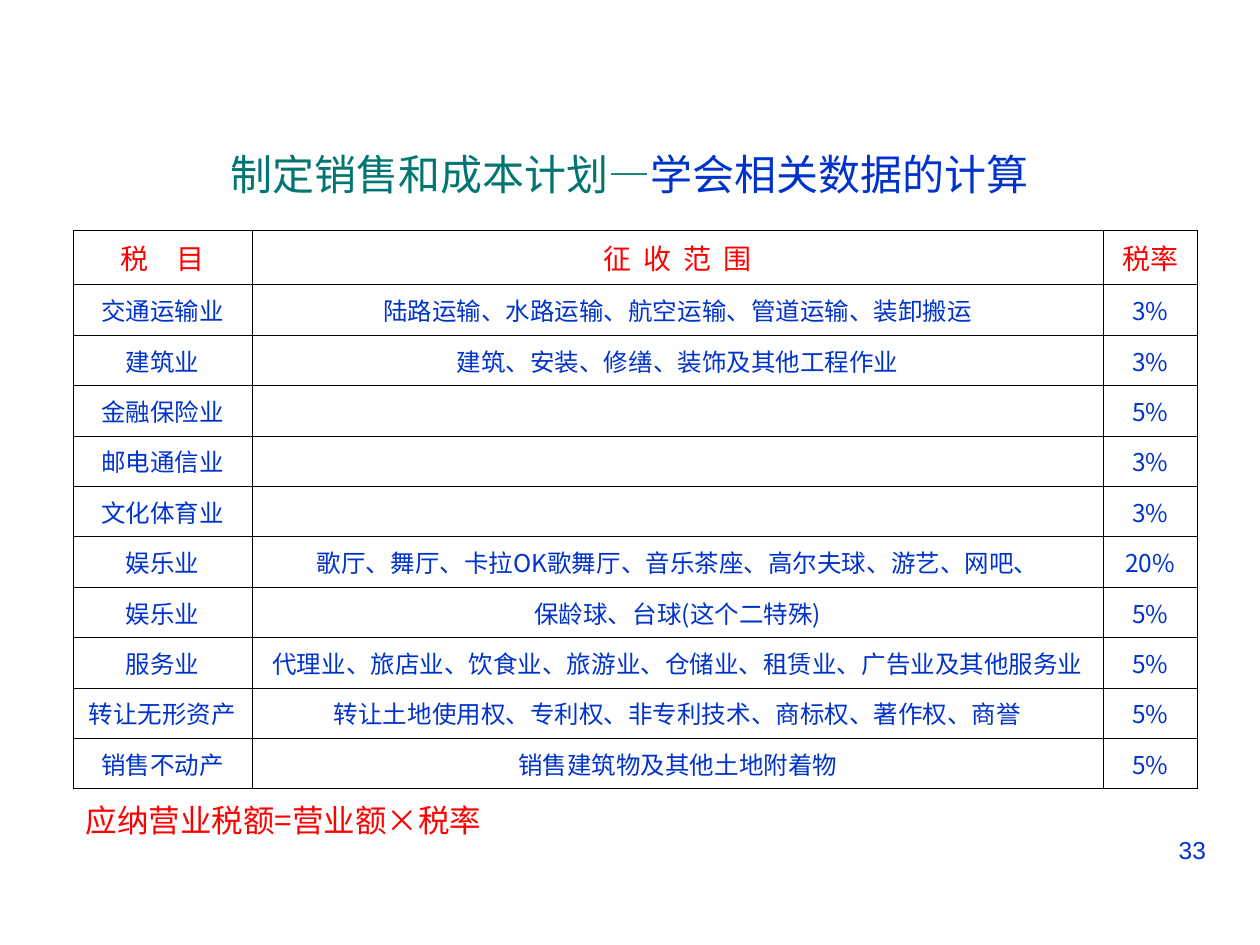
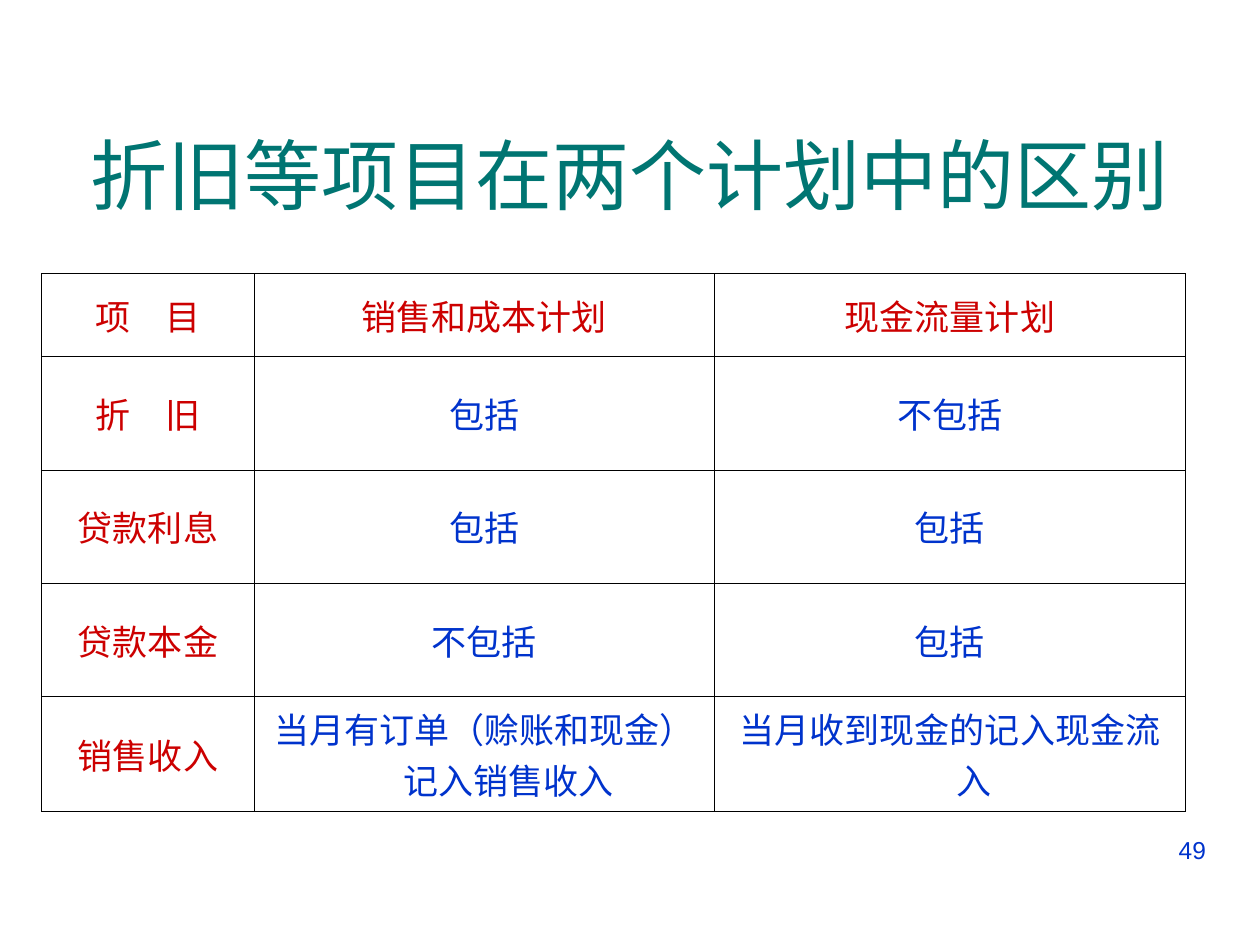
from lxml import etree
from pptx import Presentation
from pptx.dml.color import RGBColor
from pptx.enum.text import MSO_ANCHOR, MSO_AUTO_SIZE, PP_ALIGN
from pptx.oxml.ns import qn
from pptx.util import Inches, Pt

CENTER, LEFT, RIGHT = PP_ALIGN.CENTER, PP_ALIGN.LEFT, PP_ALIGN.RIGHT
MIDDLE = MSO_ANCHOR.MIDDLE
NO_FIT = MSO_AUTO_SIZE.NONE
TITLE_ONLY = 5

THEME = {
    "teal": "007572", "blue": "0033CC", "red": "FF0000", "dark_red": "CC0000",
    "border": "000000", "border_width": 0.45,
    "latin": "Arial", "chinese": "Noto Sans CJK SC",
    "number_size": 14, "hanging": 0.38,
}
NUMBER_AREA = (7.17, 6.58, 2.5, 0.52)

# Content
TAX_RATES = {
    "title": [("制定销售和成本计划—", "teal"), ("学会相关数据的计算", "blue")],
    "title_size": 24,
    "title_area": (0.58, 1, 8.83, 0.75),
    "table_at": (0.58, 1.83),
    "columns": [1.42, 6.76, 0.74],
    "heights": [0.43] + [0.4] * 10 + [0.48],
    "head_size": 16, "body_size": 14,
    "head_color": "red", "label_color": "blue",
    "head_spacing": {1: 1.7},
    "rows": [
        ("税　目", "征 收 范 围", "税率"),
        ("交通运输业", "陆路运输、水路运输、航空运输、管道运输、装卸搬运", "3%"),
        ("建筑业", "建筑、安装、修缮、装饰及其他工程作业", "3%"),
        ("金融保险业", "", "5%"),
        ("邮电通信业", "", "3%"),
        ("文化体育业", "", "3%"),
        ("娱乐业", "歌厅、舞厅、卡拉OK歌舞厅、音乐茶座、高尔夫球、游艺、网吧、", "20%"),
        ("娱乐业", "保龄球、台球(这个二特殊)", "5%"),
        ("服务业", "代理业、旅店业、饮食业、旅游业、仓储业、租赁业、广告业及其他服务业", "5%"),
        ("转让无形资产", "转让土地使用权、专利权、非专利技术、商标权、著作权、商誉", "5%"),
        ("销售不动产", "销售建筑物及其他土地附着物", "5%"),
    ],
    "formula": "应纳营业税额=营业额×税率", "formula_size": 18,
    "number": "33",
}
PLAN_DIFFERENCES = {
    "title": [("折旧等项目在两个计划中的区别", "teal")],
    "title_size": 44,
    "title_area": (0.33, 0.75, 9.34, 1.25),
    "table_at": (0.33, 2.17),
    "columns": [1.69, 3.65, 3.74],
    "heights": [0.66] + [0.9] * 4,
    "head_size": 20, "body_size": 20,
    "head_color": "dark_red", "label_color": "dark_red",
    "head_spacing": {},
    "rows": [
        ("项　目", "销售和成本计划", "现金流量计划"),
        ("折　旧", "包括", "不包括"),
        ("贷款利息", "包括", "包括"),
        ("贷款本金", "不包括", "包括"),
        ("销售收入", "当月有订单（赊账和现金）记入销售收入", "当月收到现金的记入现金流入"),
    ],
    "formula": None,
    "number": "49",
}


def set_all(target, values):
    for name, value in values.items():
        setattr(target, name, value)


def add_span(para, text, size, color, font="latin", spacing=0):
    span = para.add_run()
    span.text = text
    set_all(span.font, {"size": Pt(size), "name": THEME[font], "bold": False})
    span.font.color.rgb = RGBColor.from_string(THEME[color])
    properties = span.font._element
    etree.SubElement(properties, qn("a:ea"), typeface=THEME["chinese"])
    if spacing:
        properties.set("spc", str(round(spacing * 100)))


def add_title(page, content):
    box = page.shapes.title
    area = [Inches(value) for value in content["title_area"]]
    set_all(box, dict(zip(("left", "top", "width", "height"), area)))
    set_all(box.text_frame, {"vertical_anchor": MIDDLE, "word_wrap": True,
                             "auto_size": NO_FIT})
    para = box.text_frame.paragraphs[0]
    para.alignment = CENTER
    for text, color in content["title"]:
        add_span(para, text, content["title_size"], color)


def add_number(page, number):
    box = page.shapes.add_textbox(*map(Inches, NUMBER_AREA))
    box.text_frame.word_wrap = True
    para = box.text_frame.paragraphs[0]
    para.alignment = RIGHT
    add_span(para, number, THEME["number_size"], "blue")


def style_cell(cell, edges):
    """Draw the named edges (L, R, T, B), hide the others and clear the fill."""
    properties = cell._tc.get_or_add_tcPr()
    for edge in "LRTB":
        line = etree.SubElement(properties, qn("a:ln" + edge),
                                w=str(Pt(THEME["border_width"])))
        if edge in edges:
            fill = etree.SubElement(line, qn("a:solidFill"))
            etree.SubElement(fill, qn("a:srgbClr"), val=THEME["border"])
        else:
            etree.SubElement(line, qn("a:noFill"))
    cell.fill.background()
    cell.vertical_anchor = MIDDLE


def fill_cell(cell, text, size, color, align=CENTER, spacing=0):
    para = cell.text_frame.paragraphs[0]
    para.alignment = align
    hanging = Inches(THEME["hanging"])
    indents = para._p.get_or_add_pPr()
    indents.set("marL", str(hanging))
    indents.set("indent", str(-hanging))
    if text:
        add_span(para, text, size, color, "chinese", spacing)
    else:
        etree.SubElement(para._p, qn("a:endParaRPr"), sz=str(size * 100))


def add_grid(page, content):
    columns, heights = content["columns"], content["heights"]
    area = (*content["table_at"], sum(columns), sum(heights))
    table = page.shapes.add_table(len(heights), len(columns),
                                  *map(Inches, area)).table
    set_all(table, {"first_row": False, "horz_banding": False})
    for column, width in zip(table.columns, columns):
        column.width = Inches(width)
    for row, height in zip(table.rows, heights):
        row.height = Inches(height)

    # Heading and body rows
    for row_index, row in enumerate(content["rows"]):
        for column_index, text in enumerate(row):
            cell = table.cell(row_index, column_index)
            style_cell(cell, "LRTB")
            if row_index == 0:
                size, color = content["head_size"], content["head_color"]
                spacing = content["head_spacing"].get(column_index, 0)
            else:
                size, spacing = content["body_size"], 0
                color = "blue" if column_index else content["label_color"]
            fill_cell(cell, text, size, color, spacing=spacing)

    # Formula across the last row
    if content["formula"]:
        last = len(heights) - 1
        for cell in table.rows[last].cells:
            style_cell(cell, "T")
        first = table.cell(last, 0)
        first.merge(table.cell(last, len(columns) - 1))
        fill_cell(first, content["formula"], content["formula_size"], "red", LEFT)


def main():
    deck = Presentation()
    set_all(deck, {"slide_width": Inches(10), "slide_height": Inches(7.5)})
    for content in (TAX_RATES, PLAN_DIFFERENCES):
        page = deck.slides.add_slide(deck.slide_layouts[TITLE_ONLY])
        add_title(page, content)
        add_grid(page, content)
        add_number(page, content["number"])
    deck.save("out.pptx")


if __name__ == "__main__":
    main()
